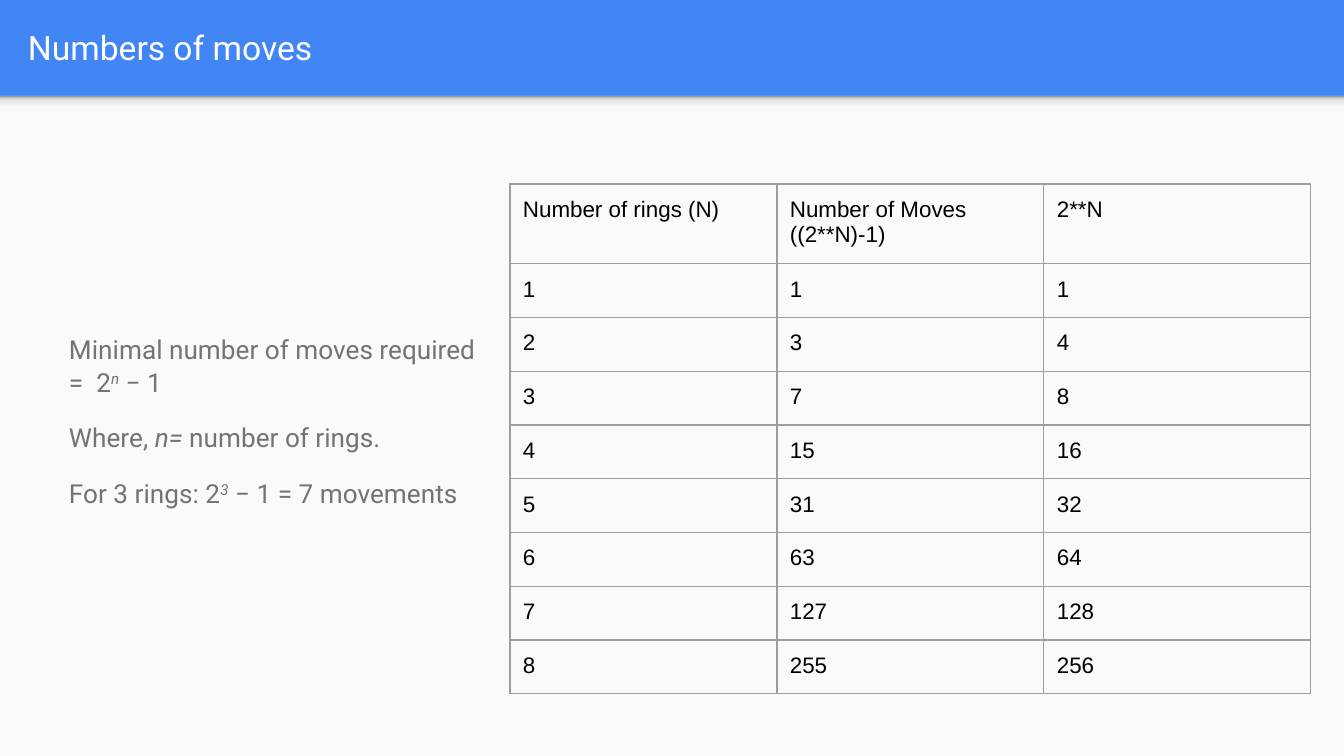
"""Build the slide on the number of moves for a given number of rings."""
from lxml import etree
from pptx import Presentation
from pptx.dml.color import RGBColor
from pptx.enum.shapes import MSO_SHAPE
from pptx.enum.text import MSO_ANCHOR
from pptx.oxml.ns import qn
from pptx.util import Emu, Pt

RECT = MSO_SHAPE.RECTANGLE
MIDDLE = MSO_ANCHOR.MIDDLE

TITLE = "Numbers of moves"
HEADS = ("Number of rings (N)", "Number of Moves ((2**N)-1)", "2**N")
ROWS = [
    (1, 1, 1),
    (2, 3, 4),
    (3, 7, 8),
    (4, 15, 16),
    (5, 31, 32),
    (6, 63, 64),
    (7, 127, 128),
    (8, 255, 256),
]
NOTES = [
    [("Minimal number of moves required =  2", ""), ("n", "super"), (" − 1", "")],
    [("Where, ", ""), ("n=", "italic"), (" number of rings.", "")],
    [("For 3 rings: 2", ""), ("3", "super"), (" − 1 = 7 movements", "")],
]
COLORS = {
    "band": "4285F4",
    "page": "FAFAFA",
    "title": "FFFFFF",
    "note": "737373",
    "cell": "000000",
    "line": "9E9E9E",
}
SHADE = [(0, "F9F9F9"), (36, "F9F9F9"), (80, "DEDEDE"), (100, "999999")]

WIDE, HIGH = 1344, 756
BAND = 96
PAD = 13
SCALE = 914400 / 134.4


def px(*vals):
    return [Emu(round(v * SCALE)) for v in vals]


def rgb(name):
    return RGBColor.from_string(COLORS[name])


def add_block(slide, box):
    block = slide.shapes.add_shape(RECT, *px(*box))
    block.shadow.inherit = False
    block.line.fill.background()
    return block


def add_stops(block):
    block.fill.gradient()
    block.fill.gradient_angle = 90
    stops = block._element.spPr.find(".//" + qn("a:gsLst"))
    for old in list(stops):
        stops.remove(old)
    for pos, color in SHADE:
        stop = etree.SubElement(stops, qn("a:gs"), pos=str(pos * 1000))
        etree.SubElement(stop, qn("a:srgbClr"), val=color)


def set_pad(item):
    pad, = px(PAD)
    item.margin_left = item.margin_right = pad
    item.margin_top = item.margin_bottom = pad


def set_font(para, face, size, color):
    para.font.name = face
    para.font.size = Pt(size)
    para.font.color.rgb = rgb(color)


def add_box(slide, box):
    frame = slide.shapes.add_textbox(*px(*box)).text_frame
    frame.word_wrap = True
    set_pad(frame)
    return frame


def add_lines(cell):
    props = cell._tc.get_or_add_tcPr()
    for side in ("lnL", "lnR", "lnT", "lnB"):
        line = etree.SubElement(props, qn("a:" + side), w=str(Pt(0.75)))
        fill = etree.SubElement(line, qn("a:solidFill"))
        etree.SubElement(fill, qn("a:srgbClr"), val=COLORS["line"])


def add_grid(slide, box):
    data = [HEADS, *ROWS]
    grid = slide.shapes.add_table(len(data), len(HEADS), *px(*box)).table
    grid.first_row = grid.horz_banding = False
    for r, row in enumerate(data):
        for c, value in enumerate(row):
            cell = grid.cell(r, c)
            cell.text = str(value)
            set_pad(cell)
            set_font(cell.text_frame.paragraphs[0], "Arial", 12, "cell")
            add_lines(cell)
            cell.fill.background()


def add_notes(slide, box):
    frame = add_box(slide, box)
    for i, parts in enumerate(NOTES):
        para = frame.add_paragraph() if i else frame.paragraphs[0]
        para.line_spacing = 1.05
        para.space_before = Pt(12 if i else 0)
        set_font(para, "Roboto", 14, "note")
        for text, style in parts:
            run = para.add_run()
            run.text = text
            if style:
                run.font.italic = True
            if style == "super":
                run._r.get_or_add_rPr().set("baseline", "30000")


def main():
    deck = Presentation()
    deck.slide_width, deck.slide_height = px(WIDE, HIGH)
    slide = deck.slides.add_slide(deck.slide_layouts[6])
    back = slide.background.fill
    back.solid()
    back.fore_color.rgb = rgb("band")

    page = add_block(slide, (0, BAND, WIDE, HIGH - BAND))
    page.fill.solid()
    page.fill.fore_color.rgb = rgb("page")
    add_stops(add_block(slide, (0, BAND, WIDE, 16)))

    head = add_box(slide, (15, 3, 1297, 89))
    head.vertical_anchor = MIDDLE
    head.text = TITLE
    set_font(head.paragraphs[0], "Roboto", 18, "title")

    add_grid(slide, (510, 184, 801, 484))
    add_notes(slide, (56, 319, 440, 204))
    deck.save("out.pptx")


if __name__ == "__main__":
    main()
